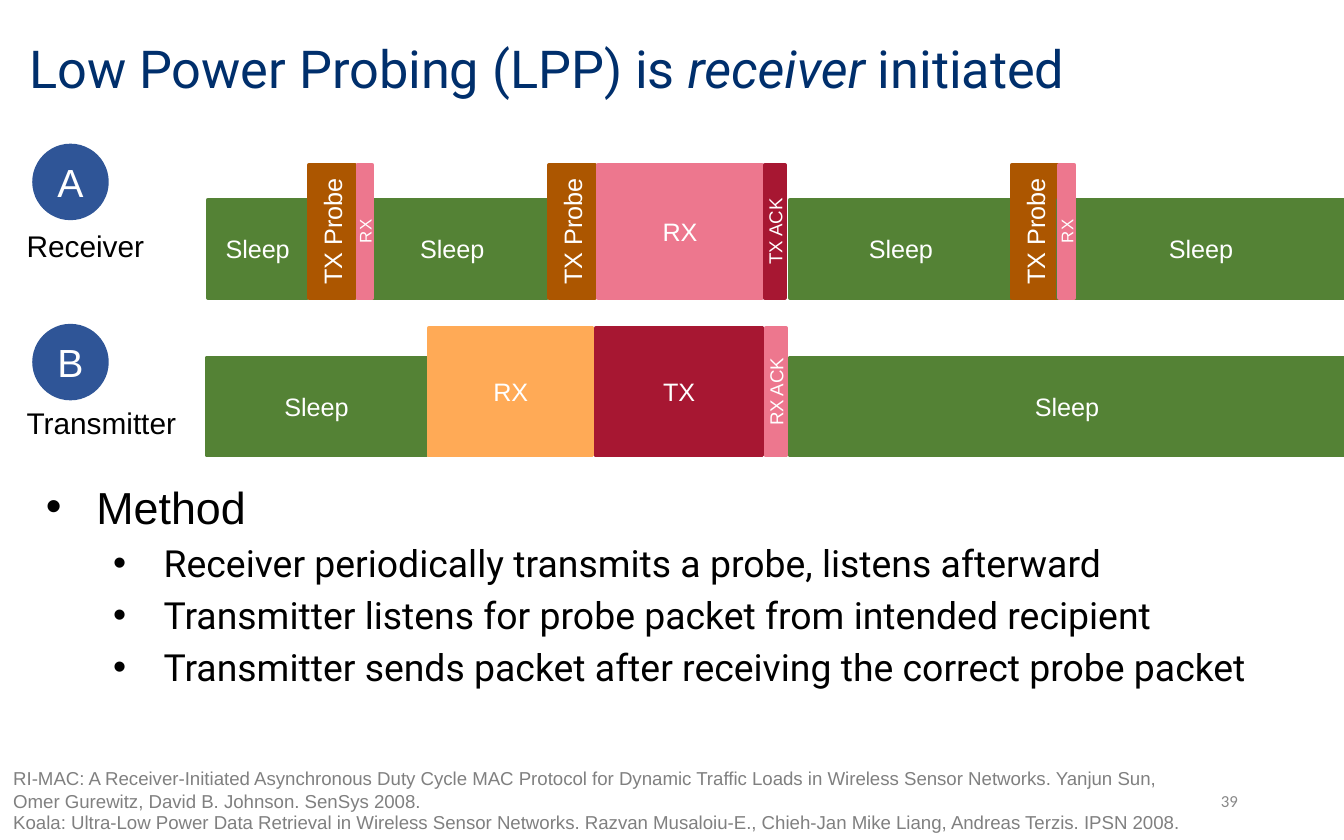
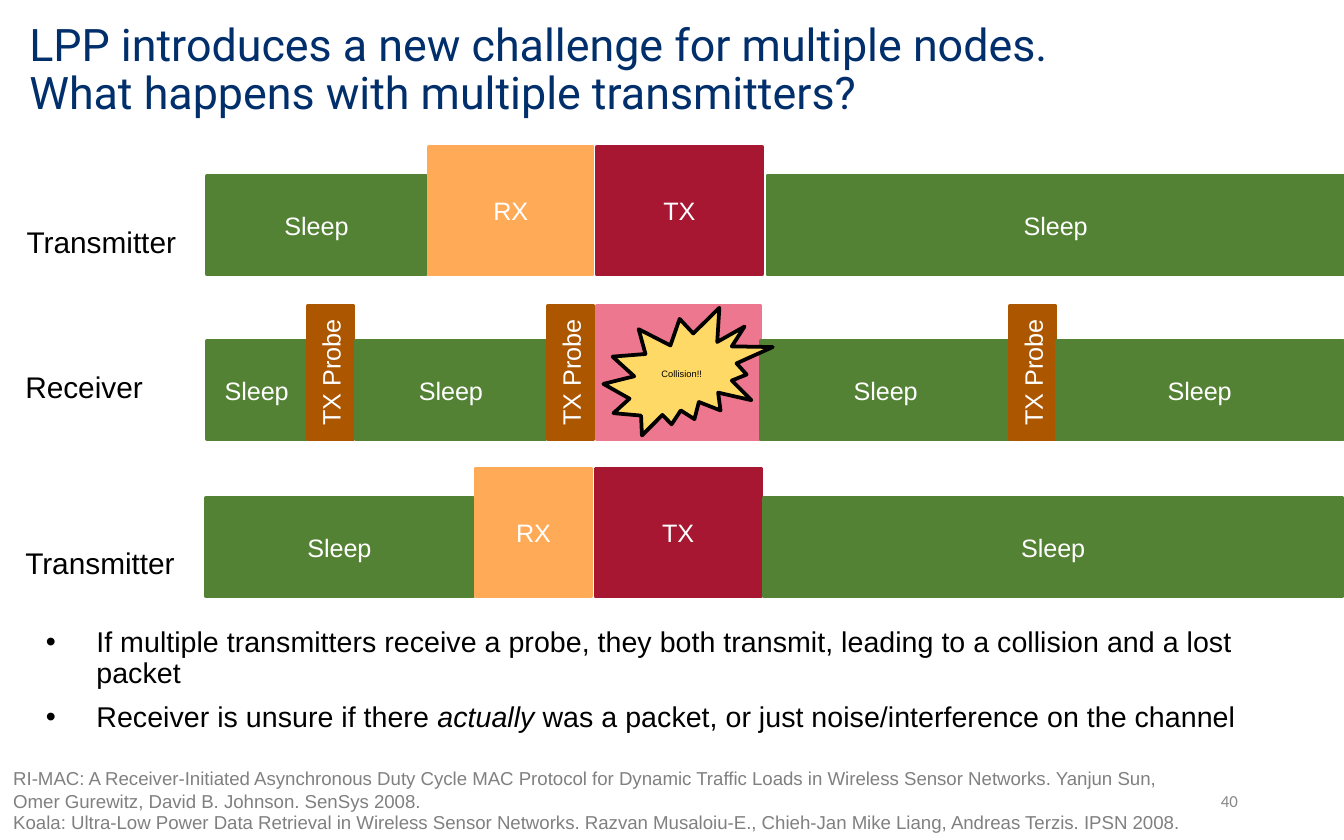
from dataclasses import dataclass
from typing import NamedTuple

from lxml import etree
from pptx import Presentation
from pptx.dml.color import RGBColor
from pptx.enum.shapes import MSO_SHAPE as Preset
from pptx.enum.text import MSO_ANCHOR as Anchor, MSO_AUTO_SIZE as AutoSize, PP_ALIGN as Align
from pptx.oxml.ns import qn
from pptx.util import Pt


@dataclass(frozen=True)
class Theme:
    """Colours and type sizes shared by the slides."""
    navy: str = "002F6C"
    blue: str = "2F5597"
    green: str = "548235"
    brown: str = "AC5600"
    pink: str = "ED778E"
    crimson: str = "A71732"
    orange: str = "FFAA56"
    yellow: str = "FFD966"
    black: str = "000000"
    white: str = "FFFFFF"
    citation_grey: str = "808080"
    number_grey: str = "888888"
    sans: str = "Arial"
    display: str = "Roboto"
    number_font: str = "Calibri"
    node_size: float = 21
    label_size: float = 16
    bar_size: float = 13.5
    ack_size: float = 10
    brief_size: float = 9
    citation_size: float = 10
    number_size: float = 9
    collision_size: float = 5


THEME = Theme()


class Box(NamedTuple):
    left: float
    top: float
    width: float
    height: float


class Font(NamedTuple):
    size: float
    color: str
    name: str = THEME.sans


class BarStyle(NamedTuple):
    text: str
    fill: str
    size: float = THEME.bar_size
    vertical: bool = False


class Bar(NamedTuple):
    style: BarStyle
    left: float
    width: float


class Row(NamedTuple):
    """One node's timeline; every bar stands on the same bottom edge."""
    label: str
    label_left: float
    label_top: float
    bottom: float
    active_height: float
    bars: list[Bar]


class Node(NamedTuple):
    letter: str
    top: float


class Bullet(NamedTuple):
    text: str  # *asterisks* mark italics
    font: Font
    margin: float = 36
    space_before: float = 7.5
    line_spacing: float = 1.0


# Kinds of radio activity
SLEEP = BarStyle("Sleep", THEME.green)
PROBE = BarStyle("TX Probe", THEME.brown, vertical=True)
BRIEF_RX = BarStyle("RX", THEME.pink, THEME.brief_size, True)
DATA_RX = BarStyle("RX", THEME.pink)
JAMMED_RX = BarStyle("", THEME.pink)
LISTEN = BarStyle("RX", THEME.orange)
SEND = BarStyle("TX", THEME.crimson)
TX_ACK = BarStyle("TX ACK", THEME.crimson, THEME.ack_size, True)
RX_ACK = BarStyle("RX ACK", THEME.pink, THEME.ack_size, True)

SLEEP_HEIGHT = 52.6
RECEIVER_HEIGHT = 71.3
TRANSMITTER_HEIGHT = 68.4
PROBE_WIDTH = 24.5
BRIEF_WIDTH = 8
ACK_WIDTH = 10.8
LABEL_WIDTH, LABEL_HEIGHT = 103.7, 26.6
NODE_LEFT, NODE_DIAMETER = 17.3, 41
HANGING_INDENT = -27

TITLE_BOX = Box(8.6, 7.2, 613.4, 61.9)
NUMBER_BOX = Box(508.3, 416.9, 162, 23.8)
CITATIONS = [
    (Box(0, 407.5, 647.3, 31.5),
     "RI-MAC: A Receiver-Initiated Asynchronous Duty Cycle MAC Protocol for Dynamic Traffic "
     "Loads in Wireless Sensor Networks. Yanjun Sun, Omer Gurewitz, David B. Johnson. SenSys 2008."),
    (Box(0, 431.1, 647.3, 19.4),
     "Koala: Ultra-Low Power Data Retrieval in Wireless Sensor Networks. Razvan Musaloiu-E., "
     "Chieh-Jan Mike Liang, Andreas Terzis. IPSN 2008."),
]


# Text helpers
def write(paragraph, text: str, font: Font) -> None:
    """Fill a paragraph, setting every second part between asterisks in italics."""
    if "*" in text:
        for index, part in enumerate(text.split("*")):
            run = paragraph.add_run()
            run.text = part
            run.font.italic = index % 2 == 1
    else:
        paragraph.text = text
    for run in paragraph.runs:
        run.font.size = Pt(font.size)
        run.font.name = font.name
        run.font.color.rgb = RGBColor.from_string(font.color)


def add_text(slide, box: Box, text: str, font: Font, anchor=Anchor.TOP, align=Align.LEFT,
             grow: bool = False, line_spacing: float = 1.0):
    text_frame = slide.shapes.add_textbox(*map(Pt, box)).text_frame
    text_frame.word_wrap = True
    text_frame.vertical_anchor = anchor
    text_frame.auto_size = AutoSize.SHAPE_TO_FIT_TEXT if grow else AutoSize.NONE
    paragraph = text_frame.paragraphs[0]
    paragraph.alignment = align
    paragraph.line_spacing = line_spacing
    write(paragraph, text, font)


def add_bullets(slide, box: Box, bullets: list[Bullet]) -> None:
    text_frame = slide.shapes.add_textbox(*map(Pt, box)).text_frame
    text_frame.word_wrap = True
    for index, bullet in enumerate(bullets):
        paragraph = text_frame.add_paragraph() if index else text_frame.paragraphs[0]
        paragraph.level = int(bullet.margin > 36)
        paragraph.line_spacing = bullet.line_spacing
        if index:
            paragraph.space_before = Pt(bullet.space_before)
        properties = paragraph._p.get_or_add_pPr()
        properties.set("marL", str(Pt(bullet.margin)))
        properties.set("indent", str(Pt(HANGING_INDENT)))
        color = etree.SubElement(properties, qn("a:buClr"))
        etree.SubElement(color, qn("a:srgbClr"), val=THEME.black)
        etree.SubElement(properties, qn("a:buFont"), typeface=THEME.sans)
        etree.SubElement(properties, qn("a:buChar"), char="•")
        write(paragraph, bullet.text, bullet.font)


# Shape helpers
def add_filled(slide, preset, box: Box, fill: str, text: str, font: Font,
               line: str | None = None, vertical: bool = False) -> None:
    shape = slide.shapes.add_shape(preset, *map(Pt, box))
    shape.shadow.inherit = False
    shape.fill.solid()
    shape.fill.fore_color.rgb = RGBColor.from_string(fill)
    if line:
        shape.line.color.rgb = RGBColor.from_string(line)
        shape.line.width = Pt(2)
    else:
        shape.line.fill.background()
    text_frame = shape.text_frame
    text_frame.vertical_anchor = Anchor.MIDDLE
    if vertical:
        text_frame._txBody.bodyPr.set("vert", "vert270")
    if text:
        text_frame.paragraphs[0].alignment = Align.CENTER
        write(text_frame.paragraphs[0], text, font)


def add_row(slide, row: Row) -> None:
    for style, left, width in row.bars:
        height = SLEEP_HEIGHT if style is SLEEP else row.active_height
        add_filled(slide, Preset.RECTANGLE, Box(left, row.bottom - height, width, height),
                   style.fill, style.text, Font(style.size, THEME.white),
                   line=style.fill, vertical=style.vertical)
    add_text(slide, Box(row.label_left, row.label_top, LABEL_WIDTH, LABEL_HEIGHT), row.label,
             Font(THEME.label_size, THEME.black), anchor=Anchor.MIDDLE, grow=True)


def add_node(slide, node: Node) -> None:
    add_filled(slide, Preset.OVAL, Box(NODE_LEFT, node.top, NODE_DIAMETER, NODE_DIAMETER),
               THEME.blue, node.letter, Font(THEME.node_size, THEME.white))


def add_base_slide(presentation, title: str, title_size: float, number: int):
    """Add a blank slide with its title, citations and page number."""
    slide = presentation.slides.add_slide(presentation.slide_layouts[6])
    add_text(slide, TITLE_BOX, title, Font(title_size, THEME.navy, THEME.display),
             anchor=Anchor.MIDDLE, line_spacing=0.9)
    add_text(slide, NUMBER_BOX, str(number),
             Font(THEME.number_size, THEME.number_grey, THEME.number_font),
             anchor=Anchor.MIDDLE, align=Align.RIGHT)
    for box, citation in CITATIONS:
        add_text(slide, box, citation, Font(THEME.citation_size, THEME.citation_grey), grow=True)
    return slide


# Slides
def build_probing(presentation) -> None:
    slide = add_base_slide(presentation, "Low Power Probing (LPP) is *receiver* initiated", 28, 39)
    rows = [
        Row("Receiver", 7.2, 118.1, 159.6, RECEIVER_HEIGHT, [
            Bar(SLEEP, 111.4, 53.3), Bar(PROBE, 165.6, PROBE_WIDTH),
            Bar(SLEEP, 191.5, 101.5), Bar(BRIEF_RX, 191.5, BRIEF_WIDTH),
            Bar(PROBE, 294.2, PROBE_WIDTH), Bar(DATA_RX, 320.4, 87.8),
            Bar(TX_ACK, 409.7, ACK_WIDTH), Bar(SLEEP, 423.2, 118.8),
            Bar(PROBE, 542.2, PROBE_WIDTH), Bar(SLEEP, 566.8, 153.2),
            Bar(BRIEF_RX, 567.5, BRIEF_WIDTH)]),
        Row("Transmitter", 7.2, 213.1, 244.1, TRANSMITTER_HEIGHT, [
            Bar(SLEEP, 110.9, 117.4), Bar(LISTEN, 229.7, 87.8), Bar(SEND, 319.2, 89.3),
            Bar(RX_ACK, 410.2, ACK_WIDTH), Bar(SLEEP, 423.2, 296.8)]),
    ]
    for row in rows:
        add_row(slide, row)
    for node in (Node("A", 77), Node("B", 173.5)):
        add_node(slide, node)
    detail = Font(20, THEME.black, THEME.display)
    steps = ["Receiver periodically transmits a probe, listens afterward",
             "Transmitter listens for probe packet from intended recipient",
             "Transmitter sends packet after receiving the correct probe packet"]
    add_bullets(slide, Box(8.6, 253.4, 703.4, 145.4),
                [Bullet("Method", Font(24, THEME.black))]
                + [Bullet(step, detail, margin=72, space_before=3.8) for step in steps])


def build_collision(presentation) -> None:
    slide = add_base_slide(
        presentation,
        "LPP introduces a new challenge for multiple nodes.\vWhat happens with multiple transmitters?",
        24, 40)
    rows = [
        Row("Receiver", 6.5, 193.7, 235.2, RECEIVER_HEIGHT, [
            Bar(SLEEP, 110.9, 53.3), Bar(PROBE, 164.9, PROBE_WIDTH),
            Bar(SLEEP, 190.8, 101.5), Bar(PROBE, 293.5, PROBE_WIDTH),
            Bar(JAMMED_RX, 319.7, 87.8), Bar(SLEEP, 407.5, 133.9),
            Bar(PROBE, 541, PROBE_WIDTH), Bar(SLEEP, 566, 153.4)]),
        Row("Transmitter", 6.5, 288, 319.4, TRANSMITTER_HEIGHT, [
            Bar(SLEEP, 110.2, 143.3), Bar(LISTEN, 254.9, 61.9),
            Bar(SEND, 319, 88.6), Bar(SLEEP, 409.2, 310)]),
        Row("Transmitter", 7.2, 115.9, 147, TRANSMITTER_HEIGHT, [
            Bar(SLEEP, 110.9, 117.4), Bar(LISTEN, 229.7, 87.8),
            Bar(SEND, 319.7, 88.6), Bar(SLEEP, 411.1, 308.9)]),
    ]
    for row in rows:
        add_row(slide, row)
    add_filled(slide, Preset.EXPLOSION2, Box(323.3, 164.9, 90.7, 68.4), THEME.yellow,
               "Collision!!", Font(THEME.collision_size, THEME.black), line=THEME.black)
    findings = ["If multiple transmitters receive a probe, they both transmit, "
                "leading to a collision and a lost packet",
                "Receiver is unsure if there *actually* was a packet, "
                "or just noise/interference on the channel"]
    add_bullets(slide, Box(8.6, 332.6, 703.4, 72.7),
                [Bullet(finding, Font(15.3, THEME.black), line_spacing=0.9)
                 for finding in findings])


def main() -> None:
    presentation = Presentation()
    presentation.slide_width, presentation.slide_height = Pt(720), Pt(450)
    build_probing(presentation)
    build_collision(presentation)
    presentation.save("out.pptx")


if __name__ == "__main__":
    main()
